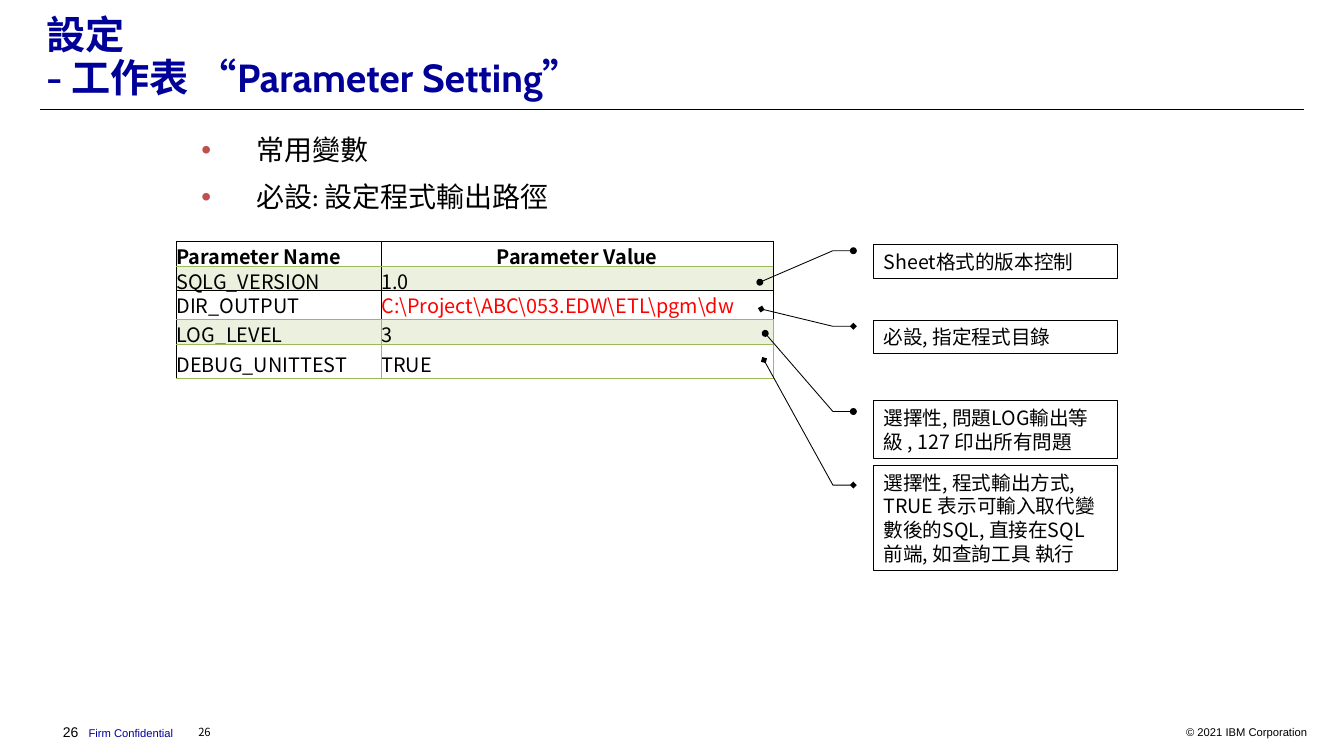
from lxml import etree
from pptx import Presentation
from pptx.dml.color import RGBColor
from pptx.enum import shapes, text
from pptx.oxml import ns
from pptx.util import Pt

BLACK = RGBColor(0x00, 0x00, 0x00)
WHITE = RGBColor(0xFF, 0xFF, 0xFF)
NAVY = RGBColor(0x00, 0x00, 0x99)
RED = RGBColor(0xFF, 0x00, 0x00)
BRICK = RGBColor(0xC0, 0x50, 0x4D)
GREEN = RGBColor(0x9B, 0xBB, 0x59)
PALE_GREEN = RGBColor(0xEB, 0xF1, 0xDE)

SANS = "Noto Sans CJK SC"
LEFT, CENTER, RIGHT = text.PP_ALIGN.LEFT, text.PP_ALIGN.CENTER, text.PP_ALIGN.RIGHT

PARAMETERS = [
    ("Parameter Name", "Parameter Value"),
    ("SQLG_VERSION", "1.0"),
    ("DIR_OUTPUT", r"C:\Project\ABC\053.EDW\ETL\pgm\dw"),
    ("LOG_LEVEL", "3"),
    ("DEBUG_UNITTEST", "TRUE"),
]
COLUMN_WIDTHS = (175.7, 335.5)
ROW_HEIGHTS = (21.6, 20.2, 25.2, 21.6, 28.8)

CALLOUTS = [
    (209.5, 28.8, "oval", (1.125, -0.467), "Sheet格式的版本控制"),
    (274.3, 28.8, "diamond", (-0.327, -0.461), "必設, 指定程式目錄"),
    (343.4, 49.7, "oval", (-1.16, -0.445), "選擇性, 問題LOG輸出等級 , 127 印出所有問題"),
    (398.9, 90, "diamond", (-1.003, -0.45),
     "選擇性, 程式輸出方式, TRUE 表示可輸入取代變數後的SQL, 直接在SQL 前端, 如查詢工具 執行"),
]


def add_xml(parent, tag, **attrs):
    return etree.SubElement(parent, ns.qn(tag), attrs)


def add_run(p, words, size, font, color=BLACK, bold=False):
    r = p.add_run()
    r.text = words
    r.font.size = Pt(size)
    r.font.name = font
    r.font.bold = bold
    r.font.color.rgb = color
    add_xml(r.font._element, "a:ea", typeface=SANS)


def set_insets(tf, x, y):
    tf.margin_left = tf.margin_right = Pt(x)
    tf.margin_top = tf.margin_bottom = Pt(y)


def add_textbox(s, left, top, width, height, insets=(7.2, 3.6), wrap=True):
    tf = s.shapes.add_textbox(Pt(left), Pt(top), Pt(width), Pt(height)).text_frame
    tf.word_wrap = wrap
    set_insets(tf, *insets)
    return tf


def format_title(s):
    sp = s.shapes.title
    sp.left, sp.top, sp.width, sp.height = Pt(32.4), Pt(18), Pt(820.8), Pt(71.3)
    tf = sp.text_frame
    tf.auto_size = text.MSO_AUTO_SIZE.NONE
    tf.vertical_anchor = text.MSO_ANCHOR.BOTTOM
    set_insets(tf, 7.2, 3.6)
    p = tf.paragraphs[0]
    p.alignment = LEFT
    p.line_spacing = Pt(36.75)
    add_run(p, "設定", 33.6, "Cabin", NAVY, True)
    p.add_line_break()
    add_run(p, "- 工作表 “Parameter Setting”", 33.6, "Cabin", NAVY, True)


def add_rule(s):
    cx = s.shapes.add_connector(
        shapes.MSO_CONNECTOR.STRAIGHT, Pt(34.6), Pt(93.6), Pt(1117.4), Pt(93.6))
    cx.line.color.rgb = BLACK
    cx.line.width = Pt(0.75)
    add_xml(cx._element.spPr, "a:effectLst")


def add_bullets(s, items):
    tf = add_textbox(s, 165.6, 108, 806.4, 403.2)
    for i, item in enumerate(items):
        p = tf.add_paragraph() if i else tf.paragraphs[0]
        pPr = p._p.get_or_add_pPr()
        pPr.set("marL", str(Pt(46.8)))
        pPr.set("indent", str(Pt(-46.8)))
        add_xml(add_xml(pPr, "a:buClr"), "a:srgbClr", val=str(BRICK))
        add_xml(pPr, "a:buFont", typeface="Arial")
        add_xml(pPr, "a:buChar", char="•")
        p.line_spacing = Pt(31)
        p.space_after = Pt(9.3)
        add_run(p, item, 24, "Vollkorn")


def set_borders(cell, left, right, top, bottom):
    tcPr = cell._tc.get_or_add_tcPr()
    for side, color in zip("LRTB", (left, right, top, bottom)):
        ln = add_xml(tcPr, "a:ln" + side, w=str(Pt(0.5)))
        add_xml(add_xml(ln, "a:solidFill"), "a:srgbClr", val=str(color))


def border_colors(row, col):
    if row >= 3:
        return (GREEN if col else BLACK), GREEN, GREEN, GREEN
    if row == 1:
        return BLACK, BLACK, GREEN, BLACK
    return BLACK, BLACK, BLACK, GREEN


def add_parameter_table(s):
    table = s.shapes.add_table(
        len(PARAMETERS), len(COLUMN_WIDTHS), Pt(151.2), Pt(206.6),
        Pt(sum(COLUMN_WIDTHS)), Pt(sum(ROW_HEIGHTS))).table
    table.first_row = table.horz_banding = False
    for column, width in zip(table.columns, COLUMN_WIDTHS):
        column.width = Pt(width)
    for row, height in zip(table.rows, ROW_HEIGHTS):
        row.height = Pt(height)
    for i, values in enumerate(PARAMETERS):
        for j, value in enumerate(values):
            cell = table.cell(i, j)
            set_insets(cell, 0, 0)
            cell.vertical_anchor = text.MSO_ANCHOR.BOTTOM
            set_borders(cell, *border_colors(i, j))
            if i % 2:
                cell.fill.solid()
                cell.fill.fore_color.rgb = PALE_GREEN
            else:
                cell.fill.background()
            p = cell.text_frame.paragraphs[0]
            p.alignment = CENTER if (i, j) == (0, 1) else LEFT
            add_run(p, value, 17, SANS, RED if (i, j) == (2, 1) else BLACK, i == 0)


def add_callout(s, top, height, end, target, words):
    sp = s.shapes.add_shape(
        shapes.MSO_SHAPE.LINE_CALLOUT_2, Pt(748.8), Pt(top), Pt(208.8), Pt(height))
    for i, value in enumerate((0.188, -0.083, 0.188, -0.167) + target):
        sp.adjustments[i] = value
    sp.shadow.inherit = False
    sp.fill.solid()
    sp.fill.fore_color.rgb = WHITE
    sp.line.color.rgb = BLACK
    sp.line.width = Pt(0.75)
    ln = sp.line._get_or_add_ln()
    for tag in ("a:headEnd", "a:tailEnd"):
        add_xml(ln, tag, type=end)
    tf = sp.text_frame
    tf.word_wrap = True
    tf.vertical_anchor = text.MSO_ANCHOR.MIDDLE
    set_insets(tf, 8.64, 4.32)
    p = tf.paragraphs[0]
    p.alignment = LEFT
    p.line_spacing = Pt(20.2)
    add_run(p, words, 16.8, SANS)


def add_footer(s):
    p = add_textbox(s, 46.8, 617, 108.7, 21.6, wrap=False).paragraphs[0]
    tabs = add_xml(p._p.get_or_add_pPr(), "a:tabLst")
    add_xml(tabs, "a:tab", pos=str(Pt(22)), algn="l")
    add_run(p, "26", 12, "Arial")
    add_run(p, "\tFirm Confidential", 9.6, "Arial", NAVY)

    p = add_textbox(s, 161.3, 617.8, 34.6, 17.3, (8.64, 4.32)).paragraphs[0]
    add_run(p, "26", 9.6, SANS)

    p = add_textbox(s, 956.2, 617.8, 172.8, 17.3, (8.64, 4.32)).paragraphs[0]
    p.alignment = RIGHT
    add_run(p, "© 2021 IBM Corporation", 9.6, "Arial")


def main():
    prs = Presentation()
    prs.slide_width, prs.slide_height = Pt(1152), Pt(648)
    s = prs.slides.add_slide(prs.slide_layouts[5])
    format_title(s)
    add_rule(s)
    add_bullets(s, ("常用變數", "必設: 設定程式輸出路徑"))
    add_parameter_table(s)
    for callout in CALLOUTS:
        add_callout(s, *callout)
    add_footer(s)
    prs.save("out.pptx")


if __name__ == "__main__":
    main()
